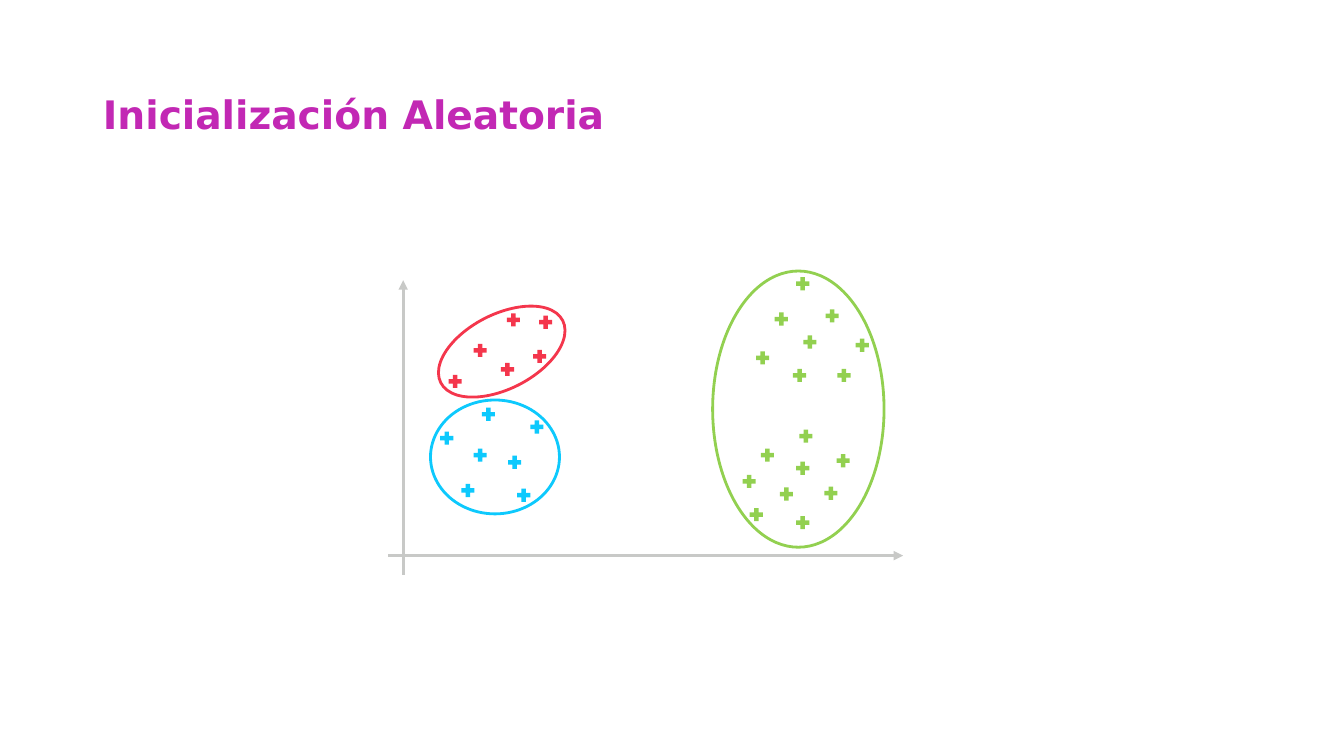
from lxml import etree
from pptx import Presentation
from pptx.dml.color import RGBColor
from pptx.enum.shapes import MSO_CONNECTOR, MSO_SHAPE
from pptx.enum.text import MSO_ANCHOR, PP_ALIGN
from pptx.oxml.ns import qn
from pptx.util import Cm, Pt

PURPLE = RGBColor(0xC2, 0x28, 0xB4)
GREY = RGBColor(0xC8, 0xC9, 0xC7)
BLUE = RGBColor(0x0D, 0xC9, 0xFD)
RED = RGBColor(0xF4, 0x36, 0x4C)
GREEN = RGBColor(0x92, 0xD0, 0x50)

STRAIGHT = MSO_CONNECTOR.STRAIGHT
CROSS, OVAL = MSO_SHAPE.CROSS, MSO_SHAPE.OVAL
LEFT, MIDDLE = PP_ALIGN.LEFT, MSO_ANCHOR.MIDDLE

TITLE = "Inicialización Aleatoria"
TITLE_BOX = (2.34, 1.8, 29.21, 2.31)
TITLE_FONT = {"name": "DejaVu Sans", "size": Pt(28), "bold": True}
AXES = [(10.16, 14.48, 10.16, 7.06), (9.78, 14, 22.76, 14)]
MARK = 0.33
CLUSTERS = [
    {"color": BLUE, "oval": (10.85, 10.08, 3.25, 2.87), "angle": 0,
     "points": [(13.53, 10.76), (12.1, 11.47), (13.2, 12.48), (11.79, 12.36),
                (11.26, 11.04), (12.31, 10.44), (12.97, 11.65)]},
    {"color": RED, "oval": (10.92, 7.92, 3.45, 1.88), "angle": 333,
     "points": [(11.47, 9.61), (12.79, 9.31), (12.1, 8.83), (13.6, 8.98),
                (13.75, 8.12), (12.94, 8.06)]},
    {"color": GREEN, "oval": (17.96, 6.83, 4.32, 6.96), "angle": 0,
     "points": [(20.23, 7.15), (20.97, 7.96), (19.69, 8.04), (20.41, 8.62),
                (21.73, 8.7), (20.15, 9.46), (21.27, 9.46), (19.22, 9.02),
                (18.88, 12.13), (19.34, 11.47), (19.82, 12.45), (19.06, 12.97),
                (20.23, 13.17), (20.94, 12.43), (20.23, 11.8), (21.25, 11.61),
                (20.31, 10.99)]},
]


def add_title(s):
    """Place and format the slide title."""
    sp = s.shapes.title
    for attr, value in zip(("left", "top", "width", "height"), TITLE_BOX):
        setattr(sp, attr, Cm(value))
    tf = sp.text_frame
    tf.vertical_anchor = MIDDLE
    p = tf.paragraphs[0]
    p.alignment, p.line_spacing = LEFT, 0.9
    r = p.add_run()
    r.text = TITLE
    for attr, value in TITLE_FONT.items():
        setattr(r.font, attr, value)
    r.font.color.rgb = PURPLE


def add_axis(s, ends):
    """Draw one axis with an arrowhead at its far end."""
    axis = s.shapes.add_connector(STRAIGHT, *map(Cm, ends))
    axis.line.color.rgb = GREY
    axis.line.width = Pt(2.25)
    etree.SubElement(axis.line._get_or_add_ln(), qn("a:tailEnd"), type="triangle")
    etree.SubElement(axis._element.spPr, qn("a:effectLst"))


def add_mark(s, x, y, color):
    """Draw one data point centred on x, y."""
    sp = s.shapes.add_shape(CROSS, Cm(x - MARK / 2), Cm(y - MARK / 2), Cm(MARK), Cm(MARK))
    sp.adjustments[0] = 0.33
    sp.shadow.inherit = False
    sp.fill.solid()
    sp.fill.fore_color.rgb = color
    sp.line.fill.background()


def add_outline(s, box, angle, color):
    """Draw the ellipse around a cluster."""
    sp = s.shapes.add_shape(OVAL, *map(Cm, box))
    sp.rotation = angle
    sp.shadow.inherit = False
    sp.fill.background()
    sp.line.color.rgb = color
    sp.line.width = Pt(2)


def main():
    """Build the slide and save it."""
    prs = Presentation()
    prs.slide_width, prs.slide_height = Cm(33.87), Cm(19.05)
    s = prs.slides.add_slide(prs.slide_layouts[5])
    add_title(s)
    for ends in AXES:
        add_axis(s, ends)
    for cluster in CLUSTERS:
        for x, y in cluster["points"]:
            add_mark(s, x, y, cluster["color"])
    for cluster in CLUSTERS:
        add_outline(s, cluster["oval"], cluster["angle"], cluster["color"])
    prs.save("out.pptx")


if __name__ == "__main__":
    main()
